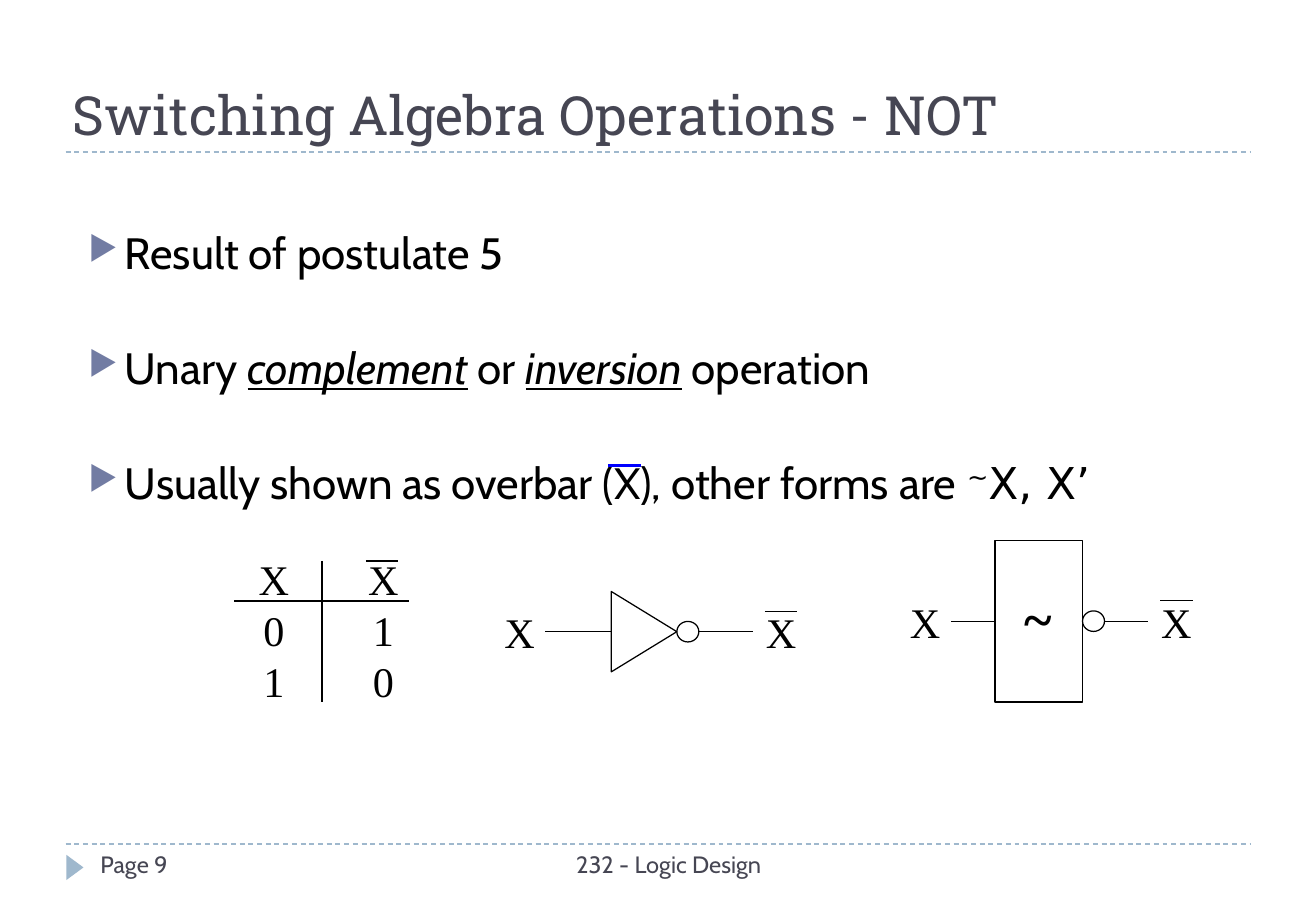
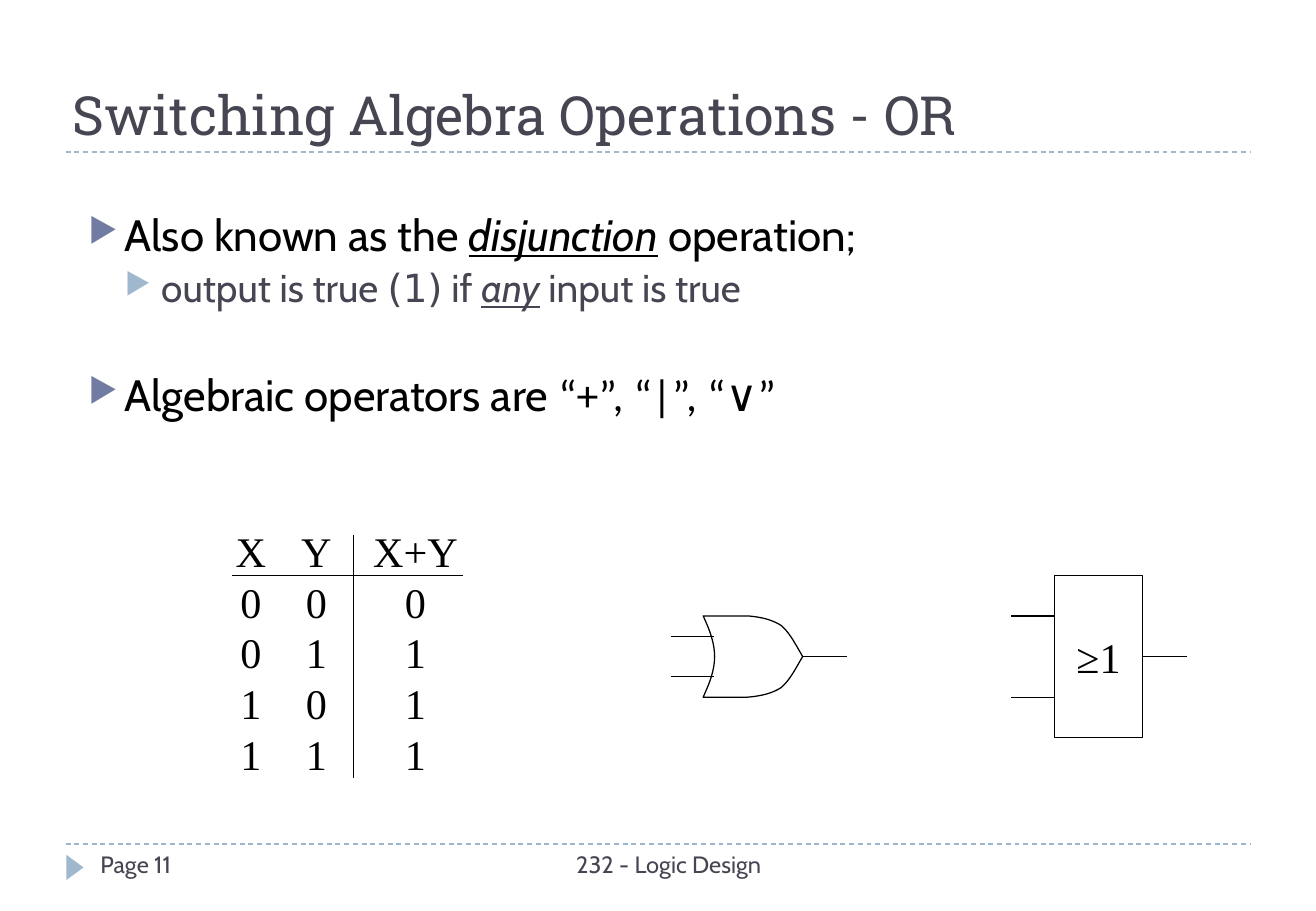
from dataclasses import dataclass
from typing import Optional

from lxml.etree import SubElement
from pptx import Presentation
from pptx.dml.color import RGBColor
from pptx.enum.dml import MSO_LINE
from pptx.enum.shapes import MSO_CONNECTOR, MSO_SHAPE
from pptx.enum.text import MSO_ANCHOR as Anchor, MSO_AUTO_SIZE, PP_ALIGN as Align
from pptx.oxml.ns import qn
from pptx.util import Cm, Pt

BLACK, WHITE, BLUE = "000000", "FFFFFF", "0000FF"
SLATE, SKY, INDIGO = "464653", "9FB8CD", "727CA3"
BODY, TITLE, SERIF = "Cabin", "Roboto Slab", "Times New Roman"
SANS, OPERATOR = "DejaVu Sans", "Calibri"
LEVELS = [(26, BLACK, INDIGO), (23, SLATE, SKY)]  # size, text, bullet
INDENT, ROW_H, OVERBAR_RISE = 0.76, 1.06, 0.43
BLOCK_W, BLOCK_H = 1.83, 3.38
BUBBLE_W, BUBBLE_H = 0.46, 0.43


@dataclass
class Run:
    text: str
    font: str = BODY
    stressed: bool = False
    raised: bool = False


@dataclass
class Bullet:
    runs: list[Run]
    level: int = 0
    before: float = 6


@dataclass
class TruthTable:
    left: float
    top: float
    widths: list[float]
    rows: list[str]
    rule_x: tuple[float, float]
    rule_y: float
    divider_x: float
    divider_y: tuple[float, float]


def rgb(value: str) -> RGBColor:
    return RGBColor.from_string(value)


def style_run(r, font: str, size: float, color: str) -> None:
    r.font.name, r.font.size = font, Pt(size)
    r.font.color.rgb = rgb(color)


def raise_run(r) -> None:
    r.font._element.set("baseline", "30000")


def style_shape(sp, fill: str, line: Optional[str] = BLACK) -> None:
    sp.shadow.inherit = False
    sp.fill.solid()
    sp.fill.fore_color.rgb = rgb(fill)
    if line:
        sp.line.color.rgb = rgb(line)
        sp.line.width = Pt(0.75)
    else:
        sp.line.fill.background()


def add_line(s, x1: float, y1: float, x2: float, y2: float, color: str = BLACK,
             width: float = 0.75, dashed: bool = False, start=None, site: int = 0) -> None:
    """Draw a straight line, joined at its start to a side of a rectangle if given."""
    c = s.shapes.add_connector(MSO_CONNECTOR.STRAIGHT, Cm(x1), Cm(y1), Cm(x2), Cm(y2))
    c.line.color.rgb = rgb(color)
    c.line.width = Pt(width)
    if dashed:
        c.line.dash_style = MSO_LINE.DASH
    SubElement(c._element.spPr, qn("a:effectLst"))
    if start is not None:
        c.begin_connect(start, site)


def add_text(s, x: float, y: float, w: float, h: float, text: str, font: str = SERIF,
             size: float = 25, color: str = BLACK, align=Align.CENTER,
             anchor=Anchor.TOP, wrap: bool = True):
    tf = s.shapes.add_textbox(Cm(x), Cm(y), Cm(w), Cm(h)).text_frame
    tf.word_wrap, tf.vertical_anchor = wrap, anchor
    p = tf.paragraphs[0]
    p.text, p.alignment = text, align
    style_run(p.runs[0], font, size, color)
    return p.runs[0]


# Frame shared by both slides

def add_frame(prs, title: str, page: int):
    s = prs.slides.add_slide(prs.slide_layouts[5])
    for y in (3.18, 17.65):
        add_line(s, 1.37, y, 26.14, y, SKY, dashed=True)
    marker = s.shapes.add_shape(MSO_SHAPE.ISOSCELES_TRIANGLE,
                                Cm(1.3), Cm(17.96), Cm(0.53), Cm(0.36))
    marker.rotation = 90
    style_shape(marker, SKY, None)
    add_text(s, 8.71, 17.65, 10.54, 1.02, "232 - Logic Design", BODY, 14, SLATE)
    add_text(s, 1.85, 17.65, 5.97, 1.02, f"Page {page}", BODY, 14, SLATE, Align.LEFT)

    sp = s.shapes.title
    sp.left, sp.top, sp.width, sp.height = Cm(1.27), Cm(1.07), Cm(25.63), Cm(2.11)
    tf = sp.text_frame
    tf.text = title
    tf.auto_size, tf.vertical_anchor = MSO_AUTO_SIZE.NONE, Anchor.BOTTOM
    p = tf.paragraphs[0]
    p.alignment = Align.LEFT
    style_run(p.runs[0], TITLE, 32, SLATE)
    return s


def add_bullets(s, top: float, height: float, bullets: list[Bullet]) -> None:
    tf = s.shapes.add_textbox(Cm(1.6), Cm(top), Cm(23.57), Cm(height)).text_frame
    tf.word_wrap = True
    for i, bullet in enumerate(bullets):
        p = tf.add_paragraph() if i else tf.paragraphs[0]
        size, color, bullet_color = LEVELS[bullet.level]
        p.level = bullet.level
        p.line_spacing, p.space_before = 0.9, Pt(bullet.before)
        pPr = p._p.get_or_add_pPr()
        pPr.set("marL", str(Cm(INDENT * (bullet.level + 1))))
        pPr.set("indent", str(-Cm(INDENT)))
        SubElement(SubElement(pPr, qn("a:buClr")), qn("a:srgbClr"), val=bullet_color)
        SubElement(pPr, qn("a:buSzPct"), val="76000")
        SubElement(pPr, qn("a:buChar"), char="▶")
        for run in bullet.runs:
            r = p.add_run()
            r.text = run.text
            style_run(r, run.font, size, color)
            if run.stressed:
                r.font.italic = r.font.underline = True
            if run.raised:
                raise_run(r)


def add_truth_table(s, t: TruthTable) -> None:
    table = s.shapes.add_table(len(t.rows), len(t.widths), Cm(t.left), Cm(t.top),
                               Cm(sum(t.widths)), Cm(ROW_H * len(t.rows))).table
    table.first_row = table.horz_banding = False
    for column, width in zip(table.columns, t.widths):
        column.width = Cm(width)
    for row, values in zip(table.rows, t.rows):
        row.height = Cm(ROW_H)
        for cell, value in zip(row.cells, values.split()):
            cell.fill.background()
            cell.margin_left = cell.margin_right = cell.margin_top = cell.margin_bottom = 0
            cell.vertical_anchor = Anchor.MIDDLE
            p = cell.text_frame.paragraphs[0]
            p.text, p.alignment = value, Align.CENTER
            style_run(p.runs[0], SERIF, 25, BLACK)
    add_line(s, t.rule_x[0], t.rule_y, t.rule_x[1], t.rule_y)
    add_line(s, t.divider_x, t.divider_y[0], t.divider_x, t.divider_y[1])


# Parts of the gate symbols

def add_overbar(s, cx: float, y: float, color: str = BLACK, width: float = 0.75) -> None:
    add_line(s, cx - 0.34, y, cx + 0.34, y, color, width)


def add_signal(s, cx: float, cy: float, inverted: bool = False) -> None:
    w, h = 1.2, 1.34
    add_text(s, cx - w / 2, cy - h / 2, w, h, "X", anchor=Anchor.MIDDLE, wrap=False)
    if inverted:
        add_overbar(s, cx, cy - OVERBAR_RISE)


def add_bubble(s, x: float, cy: float) -> None:
    sp = s.shapes.add_shape(MSO_SHAPE.FLOWCHART_CONNECTOR, Cm(x), Cm(cy - BUBBLE_H / 2),
                            Cm(BUBBLE_W), Cm(BUBBLE_H))
    style_shape(sp, WHITE)


def add_block(s, x: float, cy: float):
    sp = s.shapes.add_shape(MSO_SHAPE.RECTANGLE, Cm(x), Cm(cy - BLOCK_H / 2),
                            Cm(BLOCK_W), Cm(BLOCK_H))
    style_shape(sp, WHITE)
    return sp


def add_outline(s, points: list[tuple[float, float]]) -> None:
    start, *rest = [(Cm(x), Cm(y)) for x, y in points]
    builder = s.shapes.build_freeform(*start)
    builder.add_line_segments(rest, close=True)
    style_shape(builder.convert_to_shape(), WHITE)


def bezier(p0, p1, p2, p3, steps: int = 10) -> list[tuple[float, float]]:
    """Points along a cubic curve, both ends included."""
    points = []
    for i in range(steps + 1):
        t = i / steps
        u = 1 - t
        weights = (u ** 3, 3 * u * u * t, 3 * u * t * t, t ** 3)
        points.append(tuple(sum(w * p[k] for w, p in zip(weights, (p0, p1, p2, p3)))
                            for k in (0, 1)))
    return points


def add_or_gate(s, x: float, cy: float) -> None:
    # Upper half from the middle of the back to the tip, then mirrored
    half = (bezier((0.24, 0), (0.24, -0.29), (0.13, -0.57), (0, -0.85))
            + bezier((0.92, -0.85), (1.18, -0.83), (1.43, -0.78), (1.63, -0.65))
            + bezier((1.63, -0.65), (1.81, -0.5), (1.94, -0.24), (2.08, 0)))
    mirrored = [(px, -py) for px, py in reversed(half)]
    add_outline(s, [(x + px, cy + py) for px, py in half + mirrored])
    for dy in (-0.42, 0.42):
        add_line(s, x - 0.68, cy + dy, x + 0.22, cy + dy)
    add_line(s, x + 2.08, cy, x + 3, cy)


def build_not_slide(prs) -> None:
    s = add_frame(prs, "Switching Algebra Operations - NOT", 9)
    add_bullets(s, 4.72, 5.49, [
        Bullet([Run("Result of postulate 5")]),
        Bullet([Run("Unary "), Run("complement", stressed=True), Run(" or "),
                Run("inversion", stressed=True), Run(" operation")], before=40),
        Bullet([Run("Usually shown as overbar (X), other forms are "),
                Run("~", SANS, raised=True), Run("X, X’", SANS)], before=40),
    ])
    add_overbar(s, 13.05, 9.73, BLUE, 1.5)
    add_truth_table(s, TruthTable(4.58, 11.63, [2.29, 2.29], ["X X", "0 1", "1 0"],
                                  (4.9, 8.56), 12.57, 6.73, (11.73, 14.68)))
    add_overbar(s, 7.99, 11.73)

    # Inverter triangle
    cy, back, tip = 13.21, 12.78, 14.15
    add_outline(s, [(tip, cy), (back, cy - 0.84), (back, cy + 0.84)])
    add_bubble(s, tip, cy)
    add_line(s, back, cy, 11.4, cy)
    add_line(s, tip + BUBBLE_W, cy, 15.75, cy)
    add_signal(s, 10.86, cy)
    add_signal(s, 16.33, cy, inverted=True)

    # Inverter block
    cy, left = 12.99, 20.8
    right = left + BLOCK_W
    block = add_block(s, left, cy)
    add_bubble(s, right, cy)
    add_line(s, left, cy, 19.89, cy, start=block, site=1)
    add_line(s, right + BUBBLE_W, cy, 24, cy)
    add_signal(s, 19.34, cy)
    add_signal(s, 24.59, cy, inverted=True)
    r = add_text(s, 21.16, 11.89, 1.22, 2.57, "~", size=54, align=Align.LEFT, wrap=False)
    r.font.bold = True
    raise_run(r)


def build_or_slide(prs) -> None:
    s = add_frame(prs, "Switching Algebra Operations - OR", 11)
    add_bullets(s, 4.34, 5.11, [
        Bullet([Run("Also known as the "), Run("disjunction", stressed=True),
                Run(" operation;")]),
        Bullet([Run("output is true "), Run("(1)", SANS), Run(" if "),
                Run("any", stressed=True), Run(" input is true")], level=1, before=5),
        Bullet([Run("Algebraic operators are "), Run("“+”, “|”, “∨”", OPERATOR)], before=37),
    ])
    add_truth_table(s, TruthTable(4.56, 11.04, [1.37, 1.37, 2.77],
                                  ["X Y X+Y", "0 0 0", "0 1 1", "1 0 1", "1 1 1"],
                                  (4.85, 9.68), 12.04, 7.39, (11.18, 16.26)))
    cy, left = 13.73, 22.05
    add_or_gate(s, 14.7, cy)

    # OR block
    block = add_block(s, left, cy)
    tf = block.text_frame
    tf.word_wrap, tf.vertical_anchor = False, Anchor.MIDDLE
    tf.text = "≥1"
    p = tf.paragraphs[0]
    p.alignment = Align.CENTER
    style_run(p.runs[0], SERIF, 25, BLACK)
    for dy in (-0.85, 0.85):
        add_line(s, left, cy + dy, 21.13, cy + dy)
    add_line(s, left + BLOCK_W, cy, 24.82, cy, start=block, site=3)


def main() -> None:
    prs = Presentation()
    prs.slide_width, prs.slide_height = Cm(27.51), Cm(19.05)
    build_not_slide(prs)
    build_or_slide(prs)
    prs.save("out.pptx")


if __name__ == "__main__":
    main()
